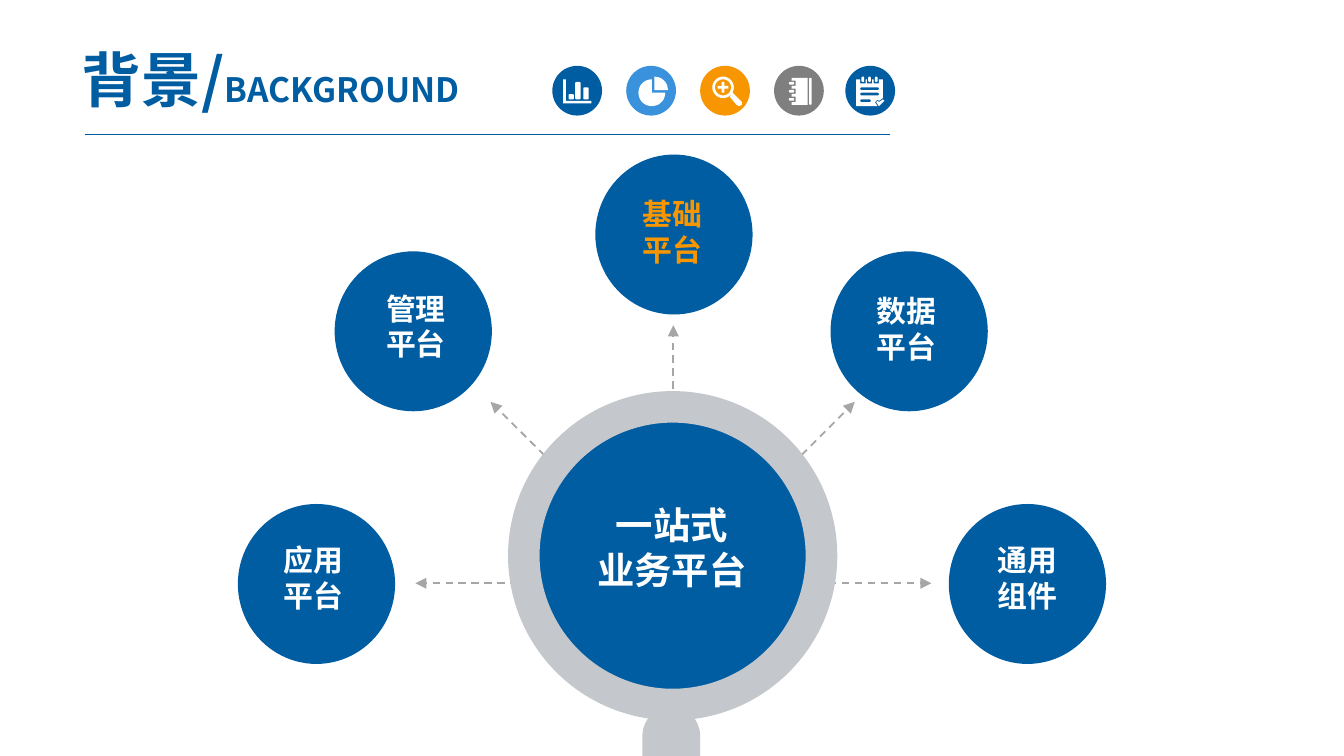
import math

import pptx
import pptx.dml.color
import pptx.enum.dml
import pptx.enum.shapes
import pptx.enum.text
import pptx.oxml.ns
import pptx.util
from lxml import etree
from pptx.util import Inches

FONT = "Noto Sans CJK SC"
COLORS = {"blue": "005DA2", "rule": "005B9E", "sky": "3992DB", "orange": "F79600",
          "gray": "7F7F7F", "ring": "C4C7CB", "arrow": "A6A6A6", "white": "FFFFFF"}
SHAPES = pptx.enum.shapes.MSO_SHAPE

TITLE = [("背景/", 32), ("BACKGROUND", 18)]
HUB_TEXT = ["一站式", "业务平台"]
HUB_CENTER = (5.01, 4.34)
RING_SIZE, RING_HOLE = 2.45, 1.98
# lines, text colour, disc corner, label corner, arrow tip
SATELLITES = [
    (["应用", "平台"], "white", (1.77, 3.75), (1.85, 3.97), (3.09, 4.34)),
    (["管理", "平台"], "white", (2.49, 1.87), (2.61, 2.10), (3.65, 2.99)),
    (["基础", "平台"], "orange", (4.43, 1.15), (4.52, 1.40), (5.01, 2.42)),
    (["数据", "平台"], "white", (6.18, 1.87), (6.26, 2.12), (6.36, 2.99)),
    (["通用", "组件"], "white", (7.06, 3.75), (7.16, 3.97), (6.93, 4.34)),
]
SATELLITE_SIZE = (1.17, 1.19)
LABEL_SIZE = (0.97, 0.66)
ICON_TOP, ICON_SIZE = 0.49, 0.37


def arc(x, y, radius, start=0, end=360):
    return [(x + radius * math.cos(math.radians(angle)), y + radius * math.sin(math.radians(angle)))
            for angle in range(start, end + 1, 10)]


def bar(left, top, right, bottom, radius=0.01):
    """Outline of a rectangle with rounded corners."""
    corners = [(right, bottom), (left, bottom), (left, top), (right, top)]
    signs = [(-1, -1), (1, -1), (1, 1), (-1, 1)]
    return [point for i, ((x, y), (sx, sy)) in enumerate(zip(corners, signs))
            for point in arc(x + sx * radius, y + sy * radius, radius, 90 * i, 90 * i + 90)]


def chart_icon():
    axes = [(0.08, 0.10), (0.10, 0.10), (0.10, 0.26), (0.29, 0.26), (0.29, 0.28), (0.08, 0.28)]
    columns = [(0.12, 0.21), (0.17, 0.12), (0.23, 0.16)]
    return [axes] + [bar(left, top, left + 0.04, 0.25) for left, top in columns]


def pie_icon():
    return [[(0.21, 0.18)] + arc(0.21, 0.18, 0.1, -90, 0),
            [(0.19, 0.20)] + arc(0.19, 0.20, 0.1, 0, 270)]


def search_icon():
    x, y, arm, half = 0.17, 0.16, 0.04, 0.01
    plus = [(x - half, y - arm), (x + half, y - arm), (x + half, y - half), (x + arm, y - half),
            (x + arm, y + half), (x + half, y + half), (x + half, y + arm), (x - half, y + arm),
            (x - half, y + half), (x - arm, y + half), (x - arm, y - half), (x - half, y - half)]
    handle = [(0.22, 0.23), (0.27, 0.29), (0.29, 0.30), (0.31, 0.29), (0.31, 0.27), (0.24, 0.20)]
    return [arc(x, y, 0.08), arc(x, y, 0.06), plus, handle]


def notebook_icon():
    rings = [0.13, 0.19, 0.25]
    cover = [(0.25, 0.29), (0.25, 0.09), (0.13, 0.09)]
    for y in rings:
        cover += [(0.13, y - 0.02), (0.16, y - 0.02), (0.16, y + 0.02), (0.13, y + 0.02)]
    cover.append((0.13, 0.29))
    return [cover, bar(0.26, 0.09, 0.28, 0.29)] + [bar(0.11, y - 0.01, 0.15, y + 0.01) for y in rings]


def checklist_icon():
    rings = [0.13, 0.18, 0.23]
    page = [(0.08, 0.30), (0.08, 0.10)]
    for x in rings:
        page += [(x - 0.02, 0.10), (x - 0.02, 0.13), (x + 0.02, 0.13), (x + 0.02, 0.10)]
    page += [(0.28, 0.10), (0.28, 0.24), (0.25, 0.26), (0.24, 0.25), (0.22, 0.27), (0.24, 0.30)]
    tick = [(0.23, 0.27), (0.24, 0.26), (0.25, 0.27), (0.28, 0.25), (0.29, 0.26), (0.25, 0.30)]
    rows = [(0.16, 0.25), (0.20, 0.25), (0.25, 0.19)]
    return ([page, tick] + [bar(x - 0.01, 0.08, x + 0.01, 0.12) for x in rings]
            + [bar(0.11, y, right, y + 0.02) for y, right in rows])


ICONS = [(4.11, "blue", chart_icon()), (4.66, "sky", pie_icon()), (5.21, "orange", search_icon()),
         (5.76, "gray", notebook_icon()), (6.29, "blue", checklist_icon())]


def rgb(name):
    return pptx.dml.color.RGBColor.from_string(COLORS[name])


def paint(shape, color):
    shape.shadow.inherit = False
    shape.fill.solid()
    shape.fill.fore_color.rgb = rgb(color)
    shape.line.fill.background()


def add_shape(slide, kind, left, top, width, height, color):
    shape = slide.shapes.add_shape(kind, *map(Inches, (left, top, width, height)))
    paint(shape, color)
    return shape


def add_icon(slide, left, color, contours):
    add_shape(slide, SHAPES.OVAL, left, ICON_TOP, ICON_SIZE, ICON_SIZE, color)
    contours = [[(x * 1000, y * 1000) for x, y in contour] for contour in contours]
    builder = slide.shapes.build_freeform(*contours[0][0], scale=Inches(1) / 1000)
    for i, contour in enumerate(contours):
        if i:
            builder.move_to(*contour[0])
        builder.add_line_segments(contour[1:], close=True)
    paint(builder.convert_to_shape(Inches(left), Inches(ICON_TOP)), "white")


def add_line(slide, start, end, color, width):
    line = slide.shapes.add_connector(pptx.enum.shapes.MSO_CONNECTOR.STRAIGHT,
                                      *map(Inches, start + end))
    line.line.color.rgb = rgb(color)
    line.line.width = pptx.util.Pt(width)
    etree.SubElement(line._element.spPr, pptx.oxml.ns.qn("a:effectLst"))
    return line


def add_arrow(slide, tip):
    arrow = add_line(slide, HUB_CENTER, tip, "arrow", 1)
    arrow.line.dash_style = pptx.enum.dml.MSO_LINE.DASH
    etree.SubElement(arrow.line._get_or_add_ln(), pptx.oxml.ns.qn("a:tailEnd"), type="triangle")


def add_run(paragraph, text, size, color):
    run = paragraph.add_run()
    run.text = text
    run.font.color.rgb = rgb(color)
    formats = {"size": pptx.util.Pt(size), "bold": True, "name": FONT}
    for name, value in formats.items():
        setattr(run.font, name, value)
    etree.SubElement(run._r.get_or_add_rPr(), pptx.oxml.ns.qn("a:ea"), typeface=FONT)


def add_text_frame(slide, left, top, width, height, **formats):
    frame = slide.shapes.add_textbox(*map(Inches, (left, top, width, height))).text_frame
    for name, value in {"word_wrap": True, **formats}.items():
        setattr(frame, name, value)
    return frame


def add_label(slide, box, lines, size, color, margins=(0.1, 0.05)):
    across, down = map(Inches, margins)
    frame = add_text_frame(slide, *box, margin_left=across, margin_right=across,
                           margin_top=down, margin_bottom=down,
                           auto_size=pptx.enum.text.MSO_AUTO_SIZE.SHAPE_TO_FIT_TEXT)
    for i, line in enumerate(lines):
        paragraph = frame.add_paragraph() if i else frame.paragraphs[0]
        paragraph.alignment = pptx.enum.text.PP_ALIGN.CENTER
        add_run(paragraph, line, size, color)


def add_header(slide):
    frame = add_text_frame(slide, 0.51, 0.31, 3.18, 0.55,
                           vertical_anchor=pptx.enum.text.MSO_ANCHOR.MIDDLE)
    for text, size in TITLE:
        add_run(frame.paragraphs[0], text, size, "blue")
    add_line(slide, (0.63, 1), (6.62, 1), "rule", 0.75)
    for icon in ICONS:
        add_icon(slide, *icon)


def add_hub(slide):
    add_shape(slide, SHAPES.OVAL, 3.97, 3.11, 2.05, 2.05, "blue")
    ring = add_shape(slide, SHAPES.DONUT, 3.78, 2.91, RING_SIZE, RING_SIZE, "ring")
    ring.adjustments[0] = (RING_SIZE - RING_HOLE) / 2 / RING_SIZE
    handle = add_shape(slide, SHAPES.ROUNDED_RECTANGLE, 4.78, 5.26, 0.43, 0.88, "ring")
    handle.adjustments[0] = 0.5
    add_label(slide, (4.2, 3.69, 1.6, 0.77), HUB_TEXT, 20, "white")


def main():
    presentation = pptx.Presentation()
    presentation.slide_width = Inches(10)
    presentation.slide_height = presentation.slide_width * 9 // 16
    slide = presentation.slides.add_slide(presentation.slide_layouts[6])
    add_header(slide)
    for *_, tip in SATELLITES:
        add_arrow(slide, tip)
    add_hub(slide)
    for lines, color, disc, label, _ in SATELLITES:
        add_shape(slide, SHAPES.OVAL, *disc, *SATELLITE_SIZE, "blue")
        add_label(slide, label + LABEL_SIZE, lines, 16, color, (0.12, 0.06))
    presentation.save("out.pptx")


if __name__ == "__main__":
    main()
